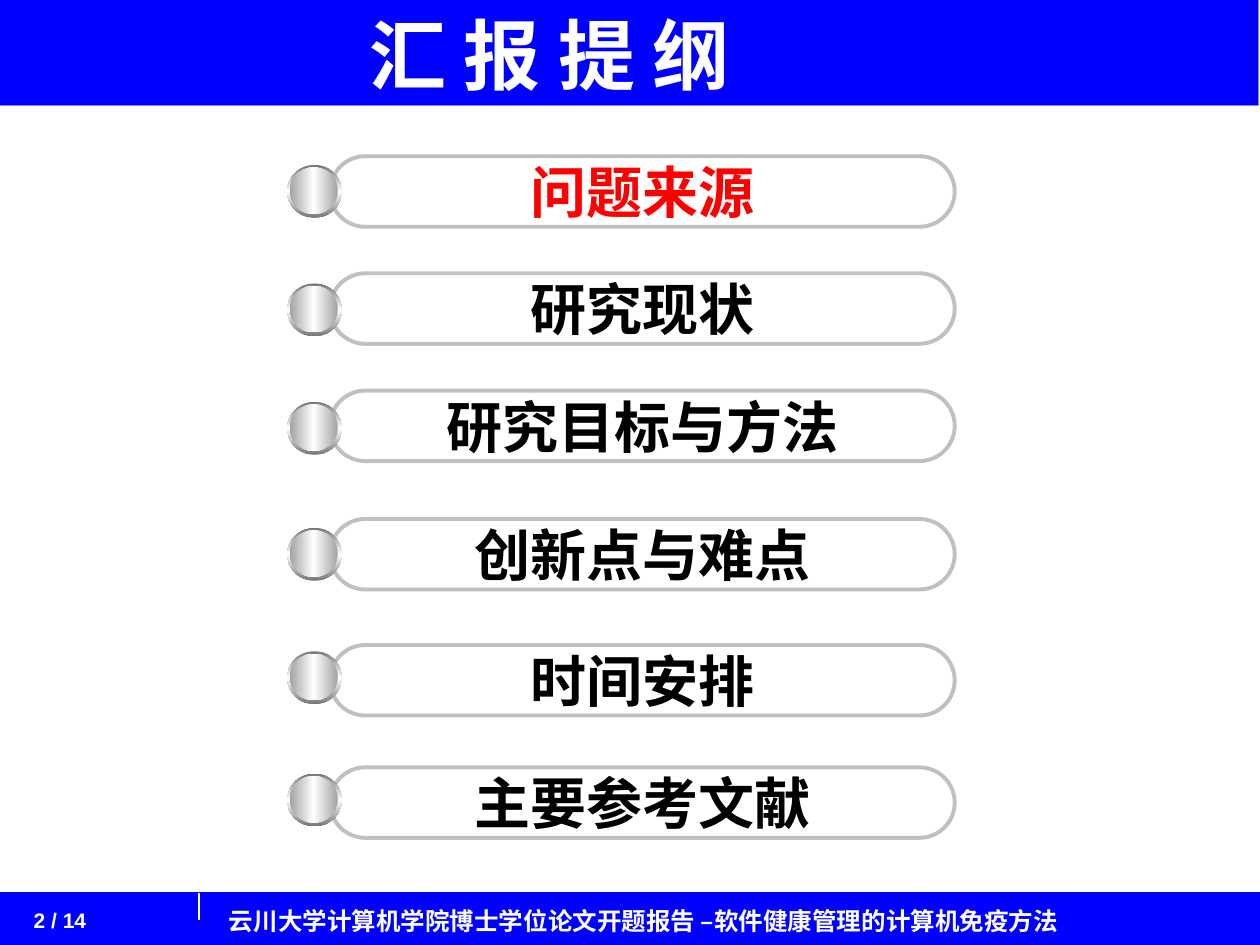
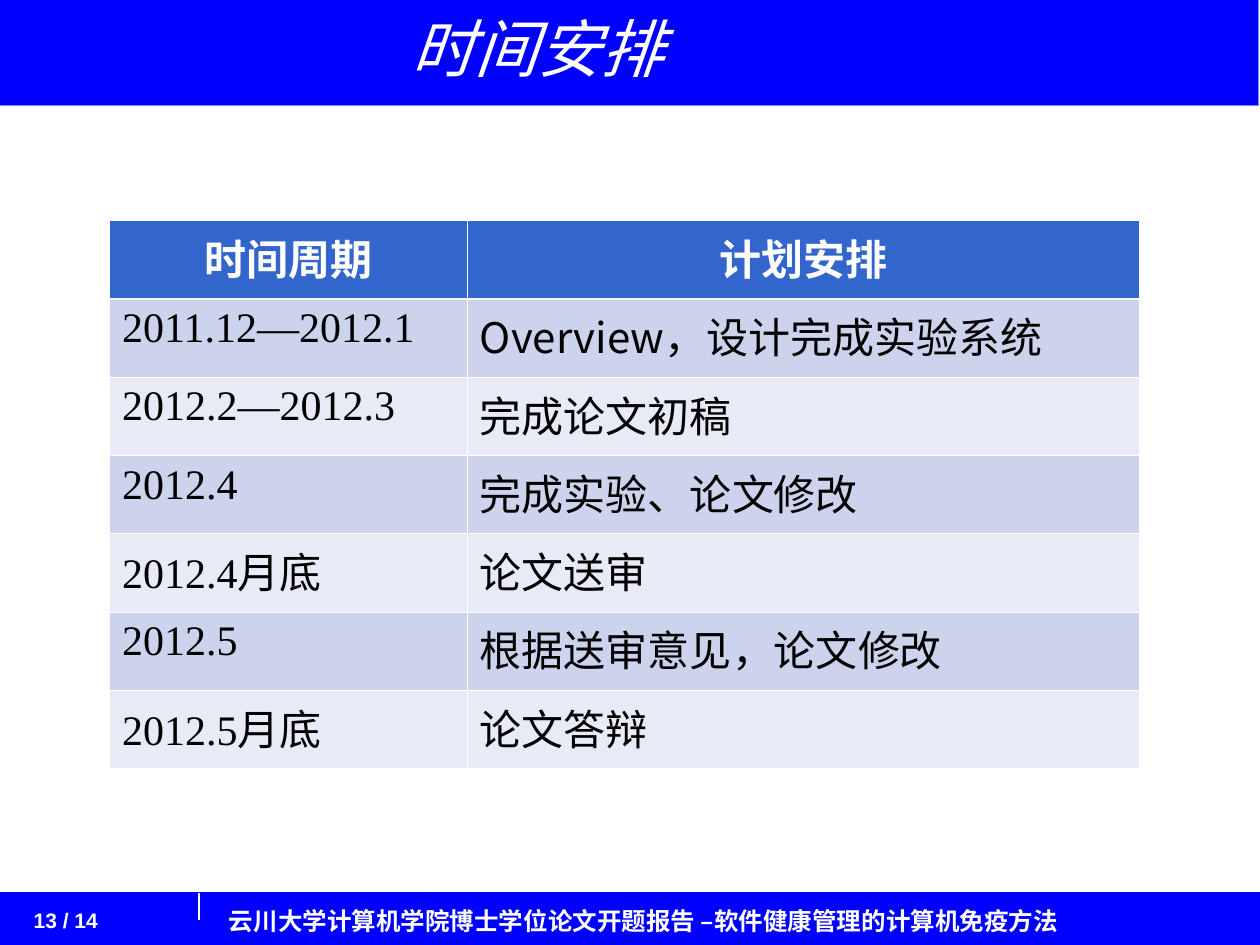
from copy import deepcopy
from lxml.etree import SubElement
from pptx import Presentation
from pptx.dml.color import RGBColor
from pptx.enum.shapes import MSO_CONNECTOR as CONN, MSO_SHAPE as SHAPE
from pptx.enum.text import MSO_ANCHOR as ANCHOR, PP_ALIGN as ALIGN
from pptx.oxml.ns import qn
from pptx.util import Pt

COLORS = {
    "band": "0000FF", "band_edge": "7889FB", "white": "FFFFFF",
    "text": "000000", "current": "FF0000", "pill": "C0C0C0",
    "rim": "767676", "ball": "A2A2A2",
    "header": "3366CC", "row_dark": "CDD3EC", "row_light": "E8EAF6",
}
SANS, ARIAL, SERIF = "Noto Sans CJK SC", "Arial", "Times New Roman"
FOOTER = "云川大学计算机学院博士学位论文开题报告 –软件健康管理的计算机免疫方法"
TOTAL = 14

# Topic, top of its pill, top of its ball
TOPICS = [
    ("问题来源", 89.3, 94.3),
    ("研究现状", 156.2, 162),
    ("研究目标与方法", 223.2, 229.7),
    ("创新点与难点", 296.6, 301.7),
    ("时间安排", 368.6, 372.2),
    ("主要参考文献", 438.5, 442.1),
]
SCHEDULE = [
    ("时间周期", "计划安排"),
    ("2011.12—2012.1", "Overview，设计完成实验系统"),
    ("2012.2—2012.3", "完成论文初稿"),
    ("2012.4", "完成实验、论文修改"),
    ("2012.4月底", "论文送审"),
    ("2012.5", "根据送审意见，论文修改"),
    ("2012.5月底", "论文答辩"),
]


def rgb(name):
    return RGBColor.from_string(COLORS[name])


class Deck:
    """Holds the shared style and the slide being built."""

    def __init__(self):
        self.prs = Presentation()
        self.prs.slide_width, self.prs.slide_height = Pt(720), Pt(540)
        self.slide = None

    def new_slide(self, number):
        self.slide = self.prs.slides.add_slide(self.prs.slide_layouts[6])
        self.shape(SHAPE.RECTANGLE, 0, 510, 720, 30, "band", "band", 0.25)
        self.shape(SHAPE.RECTANGLE, -1.2, -1.2, 720, 61.2, "band", "band_edge", 0.25)
        self.text(FOOTER, 123.8, 514.1, 584, 24.5, 14, bold=True)
        self.line(113.8, 510.5, 113.8, 525.6)
        self.text(f"{number} / {TOTAL}", 12.2, 514.8, 79.2, 25.2, 12, ARIAL, bold=True)

    def paragraph(self, tf, text, size, font=SANS, color="white", align=ALIGN.LEFT,
                  bold=False, italic=False, spacing=None):
        p = tf.paragraphs[0]
        p.text, p.alignment = text, align
        if spacing:
            p.line_spacing = spacing
        f = p.font
        f.size, f.bold, f.italic, f.name = Pt(size), bold, italic, font
        f.color.rgb = rgb(color)
        # East Asian characters always use the sans face
        SubElement(p._p.pPr.find(qn("a:defRPr")), qn("a:ea"), typeface=SANS)

    def text(self, text, x, y, w, h, size, font=SANS, anchor=ANCHOR.TOP,
             inset=3.6, **style):
        tf = self.slide.shapes.add_textbox(Pt(x), Pt(y), Pt(w), Pt(h)).text_frame
        tf.word_wrap, tf.vertical_anchor = True, anchor
        tf.margin_top = tf.margin_bottom = Pt(inset)
        self.paragraph(tf, text, size, font, **style)

    def shape(self, kind, x, y, w, h, fill=None, line=None, width=1):
        sp = self.slide.shapes.add_shape(kind, Pt(x), Pt(y), Pt(w), Pt(h))
        sp.shadow.inherit = False
        if fill:
            sp.fill.solid()
            sp.fill.fore_color.rgb = rgb(fill)
        else:
            sp.fill.background()
        if line:
            sp.line.color.rgb, sp.line.width = rgb(line), Pt(width)
        else:
            sp.line.fill.background()
        return sp

    def line(self, x1, y1, x2, y2):
        c = self.slide.shapes.add_connector(
            CONN.STRAIGHT, Pt(x1), Pt(y1), Pt(x2), Pt(y2))
        c.line.color.rgb, c.line.width = rgb("white"), Pt(0.75)
        SubElement(c._element.spPr, qn("a:effectLst"))

    def shiny_circle(self, x, y, w, h, edge, angle):
        sp = self.shape(SHAPE.OVAL, x, y, w, h)
        sp.fill.gradient()
        sp.fill.gradient_angle = angle
        stops = sp._element.spPr.find(qn("a:gradFill")).find(qn("a:gsLst"))
        stops.insert(1, deepcopy(stops[0]))
        for stop, pos, color in zip(sp.fill.gradient_stops, (0, 0.5, 1),
                                    (edge, "white", edge)):
            stop.position, stop.color.rgb = pos, rgb(color)

    def topic(self, text, pill_y, ball_y, color):
        sp = self.shape(SHAPE.ROUNDED_RECTANGLE, 188.6, pill_y, 357, 40.3,
                        line="pill", width=2.25)
        sp.adjustments[0] = 0.5
        tf = sp.text_frame
        tf.word_wrap, tf.vertical_anchor = False, ANCHOR.MIDDLE
        self.paragraph(tf, text, 32, ARIAL, color, ALIGN.CENTER, bold=True)
        self.shiny_circle(164.2, ball_y, 31, 30.2, "rim", 90)
        self.shiny_circle(165.6, ball_y + 1.4, 27.4, 26.6, "ball", 0)

    def borders(self, cell, top, bottom):
        tc_pr = cell._tc.get_or_add_tcPr()
        for side, width in zip("LRTB", (0.45, 0.45, top, bottom)):
            ln = SubElement(tc_pr, qn(f"a:ln{side}"), w=str(Pt(width)))
            fill = SubElement(ln, qn("a:solidFill"))
            SubElement(fill, qn("a:srgbClr"), val=COLORS["white"])

    def table(self, rows, x, y, col_widths, row_height):
        table = self.slide.shapes.add_table(
            len(rows), len(col_widths), Pt(x), Pt(y),
            Pt(sum(col_widths)), Pt(row_height * len(rows))).table
        table.first_row = table.horz_banding = False
        for col, width in zip(table.columns, col_widths):
            col.width = Pt(width)
        for i, row in enumerate(rows):
            fill = "header" if i == 0 else ("row_light", "row_dark")[i % 2]
            for j, text in enumerate(row):
                cell = table.cell(i, j)
                self.borders(cell, 1.47 if i == 1 else 0.45, 1.47 if i == 0 else 0.45)
                cell.fill.solid()
                cell.fill.fore_color.rgb = rgb(fill)
                tf = cell.text_frame
                if i == 0:
                    self.paragraph(tf, text, 24, align=ALIGN.CENTER, bold=True)
                else:
                    self.paragraph(tf, text, 24, (SERIF, SANS)[j], "text")


def main():
    deck = Deck()

    # Outline, with the current topic in red
    deck.new_slide(2)
    deck.text("汇 报 提 纲", 203.8, 10, 408, 40, 44, inset=0, bold=True, spacing=0.9)
    for i, (text, pill_y, ball_y) in enumerate(TOPICS):
        deck.topic(text, pill_y, ball_y, "text" if i else "current")

    # Schedule
    deck.new_slide(13)
    deck.table(SCHEDULE, 62.6, 126, (204.5, 383.8), 44.74)
    deck.text("时间安排", 228.2, 0, 246.2, 59.8, 36, anchor=ANCHOR.MIDDLE,
              italic=True, spacing=0.9)

    deck.prs.save("out.pptx")


if __name__ == "__main__":
    main()
